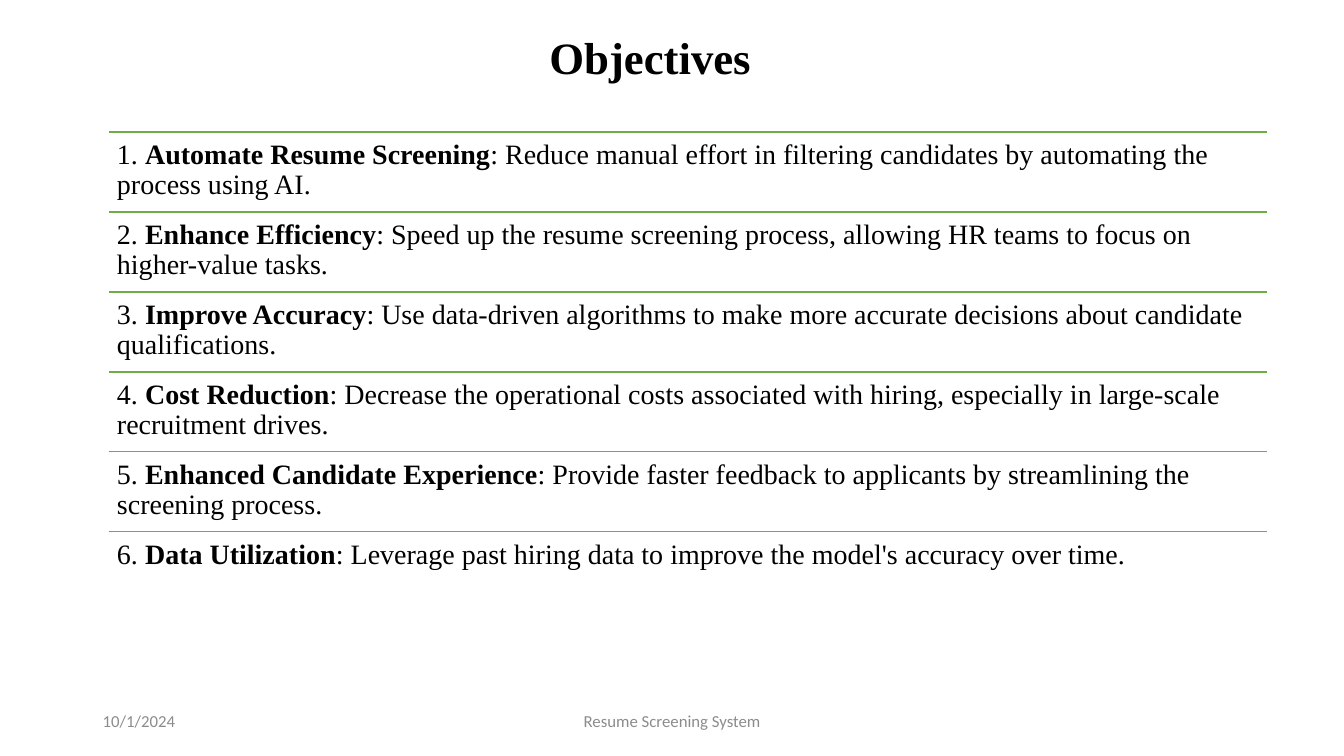
from lxml import etree
from pptx import Presentation
from pptx.dml.color import RGBColor
from pptx.enum.shapes import MSO_CONNECTOR
from pptx.enum.text import MSO_ANCHOR, MSO_AUTO_SIZE, PP_ALIGN
from pptx.oxml.ns import qn
from pptx.util import Cm, Pt

STRAIGHT = MSO_CONNECTOR.STRAIGHT
TOP, MIDDLE, BOTTOM = MSO_ANCHOR.TOP, MSO_ANCHOR.MIDDLE, MSO_ANCHOR.BOTTOM
LEFT, CENTER = PP_ALIGN.LEFT, PP_ALIGN.CENTER
NO_AUTOFIT = MSO_AUTO_SIZE.NONE

COLORS = {"text": "000000", "rule": "70AD47", "footer": "8C8C8C"}
SERIF, SANS = "Times New Roman", "Calibri"
TITLE_ONLY = 5

OBJECTIVES = [
    ("Automate Resume Screening",
     "Reduce manual effort in filtering candidates by automating the process using AI."),
    ("Enhance Efficiency",
     "Speed up the resume screening process, allowing HR teams to focus on higher-value tasks."),
    ("Improve Accuracy",
     "Use data-driven algorithms to make more accurate decisions about candidate qualifications."),
    ("Cost Reduction",
     "Decrease the operational costs associated with hiring, especially in large-scale "
     "recruitment drives."),
    ("Enhanced Candidate Experience",
     "Provide faster feedback to applicants by streamlining the screening process."),
    ("Data Utilization",
     "Leverage past hiring data to improve the model's accuracy over time."),
]


def style_font(font, name, size, color, bold=False):
    """Set the typeface, size, colour and weight of a font."""
    font.name, font.size, font.bold = name, Pt(size), bold
    font.color.rgb = RGBColor.from_string(COLORS[color])


def set_frame(frame, anchor):
    """Wrap the text of a frame at a fixed size and anchor it."""
    frame.auto_size = NO_AUTOFIT
    frame.word_wrap = True
    frame.vertical_anchor = anchor


def add_title(slide, left, top, width, height):
    """Place the slide title in its placeholder."""
    title = slide.shapes.title
    title.left, title.top, title.width, title.height = left, top, width, height
    set_frame(title.text_frame, BOTTOM)
    title.text_frame.text = "Objectives"
    heading = title.text_frame.paragraphs[0]
    heading.alignment, heading.line_spacing = CENTER, 0.9
    style_font(heading.runs[0].font, SERIF, 32, "text", bold=True)


def add_rule(slide, left, top, width):
    """Draw one green rule across the list."""
    rule = slide.shapes.add_connector(STRAIGHT, left, top, left + width, top)
    rule.line.color.rgb = RGBColor.from_string(COLORS["rule"])
    rule.line.width = Pt(1)
    etree.SubElement(rule._element.spPr, qn("a:effectLst"))


def add_objectives(slide, left, top, width, height):
    """Stack the numbered objectives in equal rows, each under a rule."""
    row_height = height // len(OBJECTIVES)
    for index, (goal, detail) in enumerate(OBJECTIVES):
        row_top = top + index * row_height
        add_rule(slide, left, row_top, width)
        frame = slide.shapes.add_textbox(left, row_top, width, row_height).text_frame
        set_frame(frame, TOP)
        frame.margin_left = frame.margin_right = Cm(0.21)
        frame.margin_top = frame.margin_bottom = Cm(0.21)
        objective = frame.paragraphs[0]
        objective.line_spacing = 0.9
        parts = [(f"{index + 1}. ", False), (goal, True), (f": {detail}", False)]
        for words, bold in parts:
            run = objective.add_run()
            run.text = words
            style_font(run.font, SERIF, 20, "text", bold)


def add_footer(slide, left, top, width, height):
    """Place the date at the left of the footer band and the project name in its middle."""
    entries = [("10/1/2024", 0, Cm(7.62), LEFT),
               ("Resume Screening System", width - Cm(11.43), Cm(11.43), CENTER)]
    for words, offset, entry_width, alignment in entries:
        frame = slide.shapes.add_textbox(left + offset, top, entry_width, height).text_frame
        set_frame(frame, MIDDLE)
        frame.text = words
        entry = frame.paragraphs[0]
        entry.alignment = alignment
        style_font(entry.runs[0].font, SANS, 12, "footer")


def main():
    """Build the objectives slide and save it."""
    deck = Presentation()
    deck.slide_width, deck.slide_height = Cm(33.88), Cm(19.05)
    slide = deck.slides.add_slide(deck.slide_layouts[TITLE_ONLY])
    add_title(slide, Cm(12.34), Cm(1.24), Cm(8.1), Cm(1.02))
    add_footer(slide, Cm(2.34), Cm(17.65), Cm(20.32), Cm(1.02))
    add_objectives(slide, Cm(2.74), Cm(3.33), Cm(29.21), Cm(12.08))
    deck.save("out.pptx")


if __name__ == "__main__":
    main()
